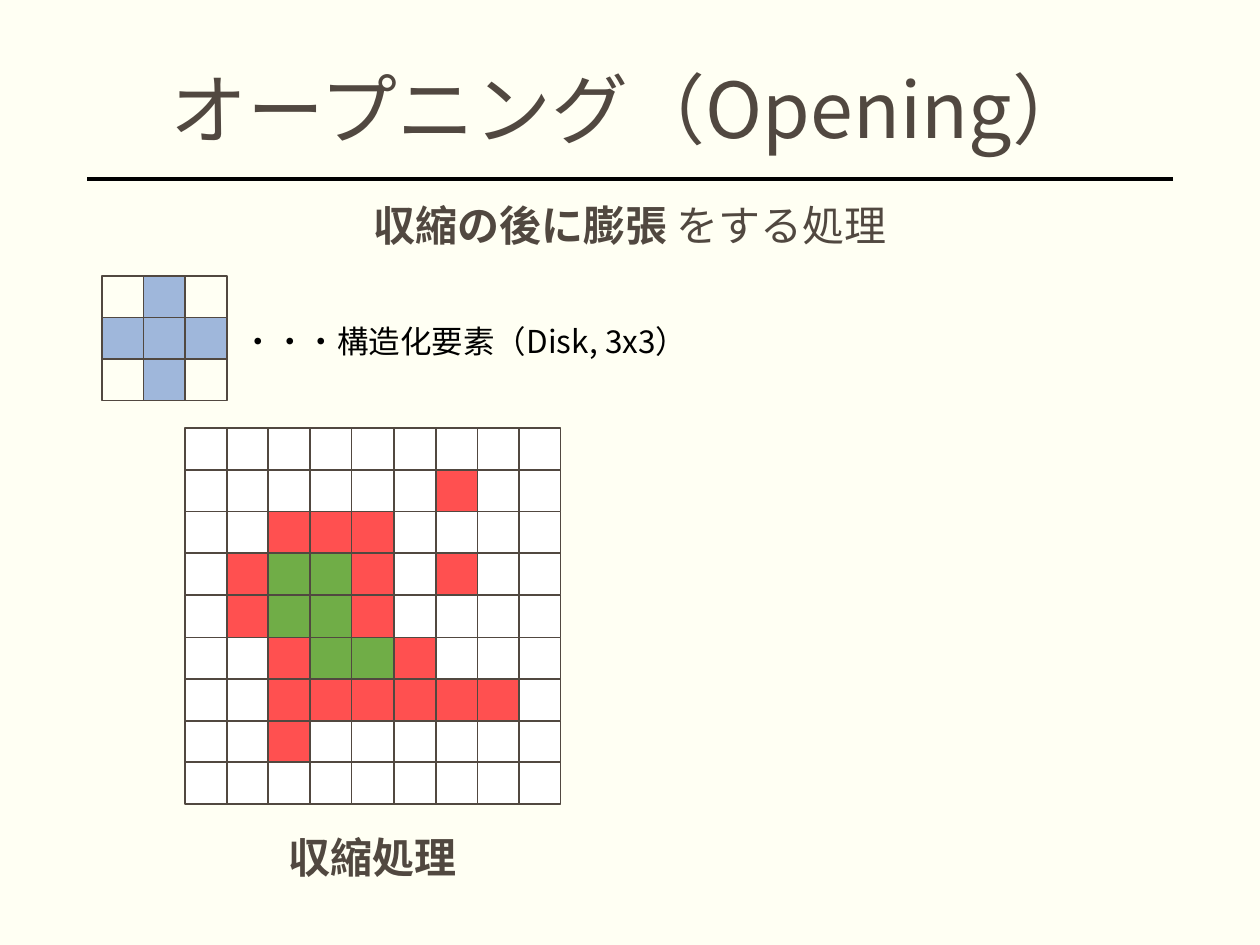
from dataclasses import dataclass
from typing import Optional

import pptx
import pptx.dml.color
import pptx.enum.shapes
import pptx.enum.text
import pptx.oxml
import pptx.oxml.ns
import pptx.util
from pptx.slide import Slide

RGBColor = pptx.dml.color.RGBColor
Align = pptx.enum.text.PP_ALIGN
Anchor = pptx.enum.text.MSO_ANCHOR

PX = pptx.util.Inches(1) // 100
FONT = "Noto Sans CJK JP"

IVORY = RGBColor(0xFF, 0xFF, 0xF3)
BROWN = RGBColor(0x51, 0x48, 0x40)
BLACK = RGBColor(0x00, 0x00, 0x00)
WHITE = RGBColor(0xFF, 0xFF, 0xFF)
RED = RGBColor(0xFF, 0x50, 0x50)
GREEN = RGBColor(0x70, 0xAD, 0x47)
BLUE = RGBColor(0x44, 0x72, 0xC4)


@dataclass(frozen=True)
class CellStyle:
    color: Optional[RGBColor]
    opacity: int = 100


@dataclass(frozen=True)
class PixelGrid:
    left: int
    top: int
    size: int
    rows: tuple[str, ...]


@dataclass(frozen=True)
class Label:
    left: int
    top: int
    width: int
    height: int
    runs: tuple[tuple[str, bool], ...]
    points: int
    color: RGBColor = BROWN
    align: Align = Align.LEFT
    anchor: Anchor = Anchor.TOP
    wrap: bool = True
    line_spacing: float = 1.0
    space_before: int = 0


CELL_STYLES = {
    ".": CellStyle(WHITE),
    "R": CellStyle(RED),
    "G": CellStyle(GREEN),
    "B": CellStyle(BLUE, 51),
    " ": CellStyle(None),
}

ERODED_IMAGE = PixelGrid(147, 340, 298, (
    ".........",
    "......R..",
    "..RRR....",
    ".RGGR.R..",
    ".RGGR....",
    "..RGGR...",
    "..RRRRRR.",
    "..R......",
    ".........",
))
STRUCTURING_ELEMENT = PixelGrid(81, 219, 99, (" B ", "BBB", " B "))

LABELS = (
    Label(69, 47, 862, 86, (("オープニング（Opening）", False),), 44,
          align=Align.CENTER, anchor=Anchor.MIDDLE, line_spacing=0.9),
    Label(69, 158, 862, 557, (("収縮の後に膨張 ", True), ("をする処理", False)), 24,
          align=Align.CENTER, line_spacing=0.9, space_before=10),
    Label(183, 251, 387, 40, (("・・・構造化要素（Disk, 3x3）", False),), 18,
          color=BLACK, wrap=False),
    Label(219, 655, 155, 50, (("収縮処理", True),), 24, wrap=False),
)


def draw_grid(slide: Slide, grid: PixelGrid) -> None:
    """Draw one grouped square per character, sharing the grid size evenly."""
    group = slide.shapes.add_group_shape()
    count = len(grid.rows)
    edges = [round(i * grid.size / count) for i in range(count + 1)]
    for row, codes in enumerate(grid.rows):
        for column, code in enumerate(codes):
            cell = group.shapes.add_shape(
                pptx.enum.shapes.MSO_SHAPE.RECTANGLE,
                (grid.left + edges[column]) * PX,
                (grid.top + edges[row]) * PX,
                (edges[column + 1] - edges[column]) * PX,
                (edges[row + 1] - edges[row]) * PX,
            )
            cell.shadow.inherit = False
            cell.line.color.rgb = BROWN
            cell.line.width = pptx.util.Pt(1)
            style = CELL_STYLES[code]
            if style.color is None:
                cell.fill.background()
                continue
            cell.fill.solid()
            cell.fill.fore_color.rgb = style.color
            if style.opacity < 100:
                color = cell.fill._xPr.find(".//" + pptx.oxml.ns.qn("a:srgbClr"))
                alpha = pptx.oxml.xmlchemy.OxmlElement("a:alpha")
                alpha.set("val", str(style.opacity * 1000))
                color.append(alpha)


def draw_label(slide: Slide, label: Label) -> None:
    box = slide.shapes.add_textbox(
        label.left * PX, label.top * PX, label.width * PX, label.height * PX)
    frame = box.text_frame
    frame.word_wrap = label.wrap
    frame.vertical_anchor = label.anchor
    if not label.wrap:
        frame.auto_size = pptx.enum.text.MSO_AUTO_SIZE.SHAPE_TO_FIT_TEXT
    paragraph = frame.paragraphs[0]
    paragraph.alignment = label.align
    paragraph.line_spacing = label.line_spacing
    paragraph.space_before = pptx.util.Pt(label.space_before)
    paragraph.font.size = pptx.util.Pt(label.points)
    paragraph.font.color.rgb = label.color
    paragraph.font.name = FONT
    east_asian = pptx.oxml.xmlchemy.OxmlElement("a:ea")
    east_asian.set("typeface", FONT)
    paragraph.font._rPr.find(pptx.oxml.ns.qn("a:latin")).addnext(east_asian)
    for text, bold in label.runs:
        run = paragraph.add_run()
        run.text = text
        run.font.bold = bold


def draw_title_rule(slide: Slide) -> None:
    rule = slide.shapes.add_connector(
        pptx.enum.shapes.MSO_CONNECTOR.STRAIGHT,
        931 * PX, 142 * PX, 69 * PX, 142 * PX)
    rule.line.color.rgb = BLACK
    rule.line.width = pptx.util.Pt(2)
    rule._element.spPr.append(pptx.oxml.xmlchemy.OxmlElement("a:effectLst"))


def main() -> None:
    deck = pptx.Presentation()
    deck.slide_width, deck.slide_height = 1000 * PX, 750 * PX
    slide = deck.slides.add_slide(deck.slide_layouts[6])
    slide.background.fill.solid()
    slide.background.fill.fore_color.rgb = IVORY

    draw_title_rule(slide)
    for grid in (ERODED_IMAGE, STRUCTURING_ELEMENT):
        draw_grid(slide, grid)
    for label in LABELS:
        draw_label(slide, label)
    deck.save("out.pptx")


if __name__ == "__main__":
    main()
